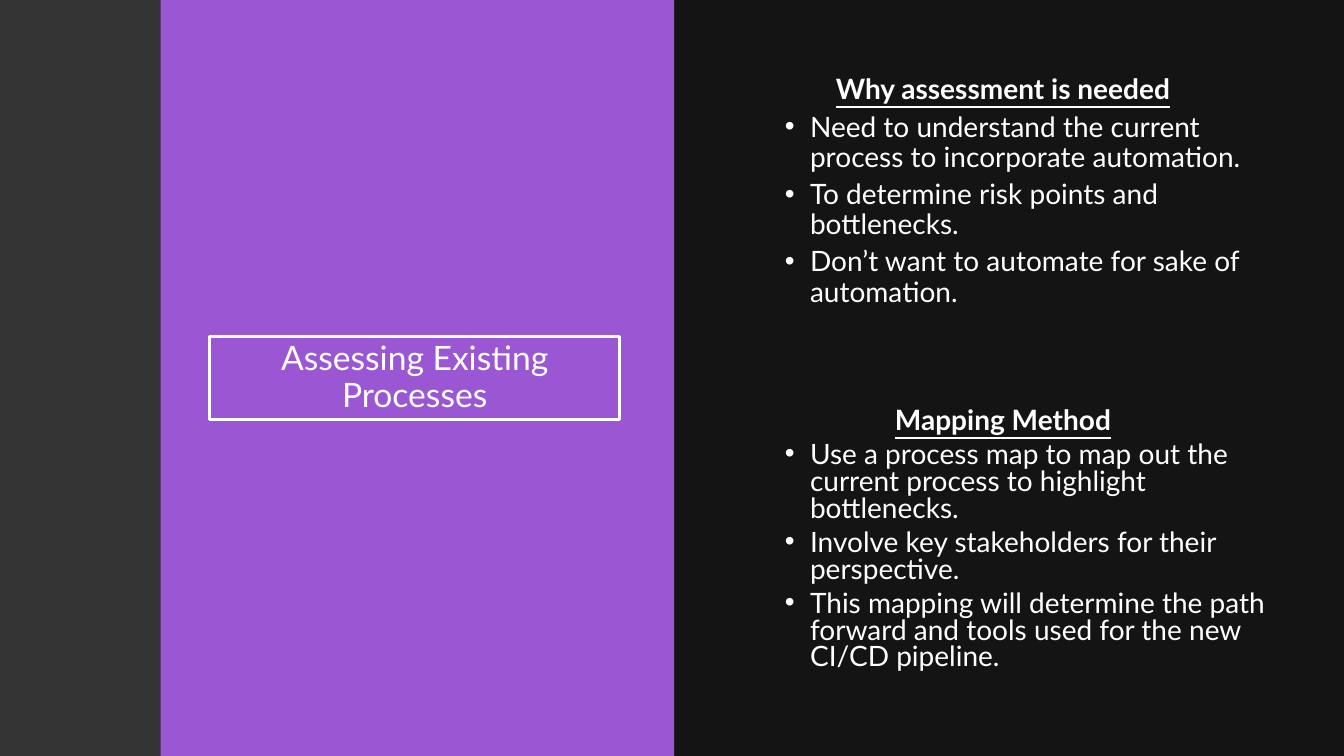
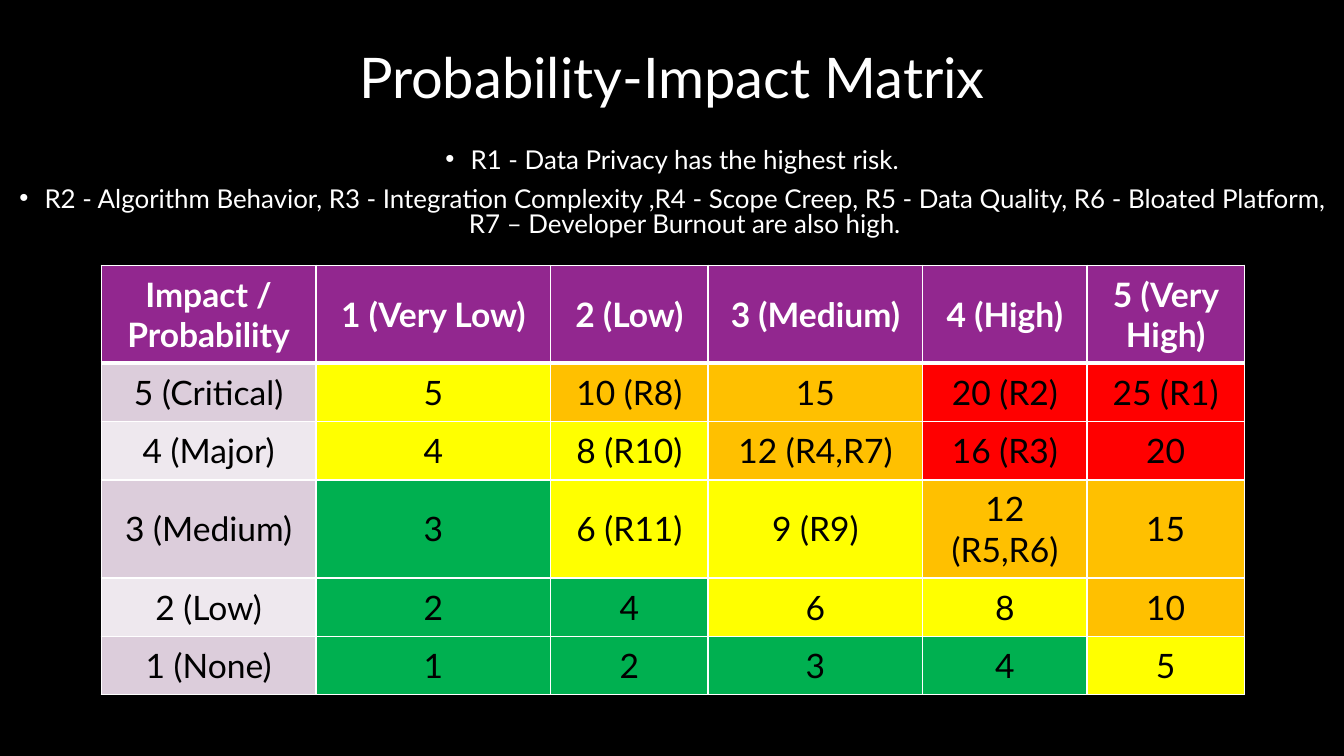
"""Build two dark slides on process assessment and a risk matrix."""
from dataclasses import dataclass

from lxml import etree
from pptx import Presentation
from pptx.dml.color import RGBColor
from pptx.enum.shapes import MSO_SHAPE
from pptx.enum.text import MSO_ANCHOR, MSO_AUTO_SIZE, PP_ALIGN
from pptx.oxml.ns import qn
from pptx.util import Pt

RECTANGLE = MSO_SHAPE.RECTANGLE
TOP, MIDDLE = MSO_ANCHOR.TOP, MSO_ANCHOR.MIDDLE
NO_AUTOFIT = MSO_AUTO_SIZE.NONE
LEFT, CENTER = PP_ALIGN.LEFT, PP_ALIGN.CENTER
TITLE_AND_CONTENT, TWO_CONTENT = 1, 3


@dataclass(frozen=True)
class Theme:
    """Colours, typeface and type sizes."""
    font: str = "Lato"
    background: str = "000000"
    text: str = "FFFFFF"
    accent: str = "9B57D3"
    side: str = "404040"
    header: str = "92278F"
    label_bands: tuple = ("DCCDDB", "EEE8EE")
    cell_text: str = "000000"
    panel_title: float = 24
    title: float = 40
    list_text: float = 20
    note: float = 18.5
    cell: float = 24


THEME = Theme()
SLIDE_W, SLIDE_H = 960, 540

BANDS = [
    (480, 480, THEME.text, 8),
    (114.5, 367, THEME.accent, 100),
    (0, 114.5, THEME.side, 80),
]

ASSESSMENT_TITLE = "Assessing Existing Processes"
ASSESSMENT_LISTS = [
    ("Why assessment is needed", 50.4, 0.9, [
        "Need to understand the current process to incorporate automation.",
        "To determine risk points and bottlenecks.",
        "Don’t want to automate for sake of automation.",
    ]),
    ("Mapping Method", 288.7, 0.8, [
        "Use a process map to map out the current process to highlight bottlenecks.",
        "Involve key stakeholders for their perspective.",
        "This mapping will determine the path forward and tools used for the new "
        "CI/CD pipeline.",
    ]),
]

MATRIX_TITLE = "Probability-Impact Matrix"
MATRIX_NOTES = [
    "R1 - Data Privacy has the highest risk.",
    "R2 - Algorithm Behavior, R3 - Integration Complexity ,R4 - Scope Creep, "
    "R5 - Data Quality, R6 - Bloated Platform, R7 – Developer Burnout are also high.",
]
MATRIX_HEADER = ["Impact / Probability", "1 (Very Low)", "2 (Low)", "3 (Medium)",
                 "4 (High)", "5 (Very High)"]
MATRIX_ROWS = [
    ("5 (Critical)", ["5", "10 (R8)", "15", "20 (R2)", "25 (R1)"], "YOORR"),
    ("4 (Major)", ["4", "8 (R10)", "12 (R4,R7)", "16 (R3)", "20"], "YYORR"),
    ("3 (Medium)", ["3", "6 (R11)", "9 (R9)", "12 (R5,R6)", "15"], "GYYOO"),
    ("2 (Low)", ["2", "4", "6", "8", "10"], "GGYYO"),
    ("1 (None)", ["1", "2", "3", "4", "5"], "GGGGY"),
]
SEVERITY = {"G": "00B050", "Y": "FFFF00", "O": "FFC000", "R": "FF0000"}
COLUMN_WIDTHS = [153.4, 167.8, 112.3, 153.4, 117.3, 112.3]
ROW_HEIGHTS = [70, 41.7, 41.7, 70, 41.7, 41.7]


def rgb(color):
    """Turn a hex string into a colour."""
    return RGBColor.from_string(color)


def place(shape, left, top, width, height):
    """Position a shape in points."""
    shape.left, shape.top = Pt(left), Pt(top)
    shape.width, shape.height = Pt(width), Pt(height)


def style_runs(paragraph, size, color=THEME.text, bold=False, underline=False):
    """Apply the theme typeface to every run."""
    for run in paragraph.runs:
        font = run.font
        font.name, font.size = THEME.font, Pt(size)
        font.bold, font.underline = bold, underline
        font.color.rgb = rgb(color)


def space(paragraph, align, line, before):
    """Set alignment, line spacing and space before."""
    paragraph.alignment = align
    paragraph.line_spacing = line
    paragraph.space_before = Pt(before)
    paragraph.space_after = Pt(0)


def set_bullet(paragraph, indent=0):
    """Give a hanging bullet, or none when the indent is zero."""
    properties = paragraph._p.get_or_add_pPr()
    properties.set("marL", str(Pt(indent)))
    properties.set("indent", str(Pt(-18 if indent else 0)))
    if indent:
        etree.SubElement(properties, qn("a:buFont")).set("typeface", "Arial")
        etree.SubElement(properties, qn("a:buChar")).set("char", "•")
    else:
        etree.SubElement(properties, qn("a:buNone"))


def prepare_frame(shape, anchor):
    """Return the shape's text frame, wrapped and of fixed size."""
    frame = shape.text_frame
    frame.word_wrap = True
    frame.auto_size = NO_AUTOFIT
    frame.vertical_anchor = anchor
    return frame


def set_title(slide, text, size, box):
    """Fill and place the title."""
    title = slide.shapes.title
    place(title, *box)
    frame = prepare_frame(title, MIDDLE)
    frame.text = text
    space(frame.paragraphs[0], CENTER, 0.9, 0)
    style_runs(frame.paragraphs[0], size)
    return title


def add_bands(slide):
    """Lay the full-height bands behind the text."""
    for depth, (left, width, color, opacity) in enumerate(BANDS):
        band = slide.shapes.add_shape(RECTANGLE, Pt(left), 0, Pt(width), Pt(SLIDE_H))
        band.shadow.inherit = False
        band.fill.solid()
        band.fill.fore_color.rgb = rgb(color)
        band.line.fill.background()
        if opacity < 100:
            tint = band._element.spPr.find(".//" + qn("a:srgbClr"))
            etree.SubElement(tint, qn("a:alpha")).set("val", str(opacity * 1000))
        slide.shapes._spTree.insert(2 + depth, band._element)


def build_assessment(prs):
    """Build the slide with the title panel and two lists."""
    slide = prs.slides.add_slide(prs.slide_layouts[TWO_CONTENT])
    add_bands(slide)
    title = set_title(slide, ASSESSMENT_TITLE, THEME.panel_title,
                      (149.6, 240.3, 293.2, 59.6))
    title.line.color.rgb = rgb(THEME.text)
    title.line.width = Pt(2)
    for index, (heading, top, line, points) in enumerate(ASSESSMENT_LISTS, start=1):
        body = slide.placeholders[index]
        place(body, 517.4, top, 398, 201)
        frame = prepare_frame(body, TOP)
        frame.text = "\n".join([heading, *points])
        header, *items = frame.paragraphs
        space(header, CENTER, line, 0)
        set_bullet(header)
        style_runs(header, THEME.list_text, bold=True, underline=True)
        for item in items:
            item.level = 1
            space(item, LEFT, line, 5)
            set_bullet(item, 54)
            style_runs(item, THEME.list_text)


def set_borders(cell, **widths):
    """Draw the four cell borders, one point unless given."""
    properties = cell._tc.get_or_add_tcPr()
    for side in "LRTB":
        border = etree.SubElement(properties, qn("a:ln" + side))
        border.set("w", str(Pt(widths.get(side, 1))))
        fill = etree.SubElement(border, qn("a:solidFill"))
        etree.SubElement(fill, qn("a:srgbClr")).set("val", THEME.text)


def fill_cell(cell, text, fill, row):
    """Write and colour one matrix cell."""
    is_header = row == 0
    set_borders(cell, **({0: {"B": 3}, 1: {"T": 3}}.get(row, {})))
    cell.fill.solid()
    cell.fill.fore_color.rgb = rgb(fill)
    cell.margin_left = cell.margin_right = Pt(9.6)
    cell.margin_top = cell.margin_bottom = Pt(4.8)
    cell.vertical_anchor = MIDDLE
    cell.text_frame.text = text
    paragraph = cell.text_frame.paragraphs[0]
    paragraph.alignment = CENTER
    style_runs(paragraph, THEME.cell, THEME.text if is_header else THEME.cell_text,
               bold=is_header)


def add_matrix(slide):
    """Add the probability-impact table."""
    grid = [[(text, THEME.header) for text in MATRIX_HEADER]]
    for index, (label, scores, levels) in enumerate(MATRIX_ROWS):
        colors = [SEVERITY[level] for level in levels]
        grid.append([(label, THEME.label_bands[index % 2]), *zip(scores, colors)])
    matrix = slide.shapes.add_table(
        len(grid), len(MATRIX_HEADER), Pt(72.3), Pt(189.5),
        Pt(sum(COLUMN_WIDTHS)), Pt(sum(ROW_HEIGHTS))).table
    for column, width in zip(matrix.columns, COLUMN_WIDTHS):
        column.width = Pt(width)
    for row, height in zip(matrix.rows, ROW_HEIGHTS):
        row.height = Pt(height)
    for r, entries in enumerate(grid):
        for c, (text, fill) in enumerate(entries):
            fill_cell(matrix.cell(r, c), text, fill, r)


def build_matrix(prs):
    """Build the slide with the risk notes and matrix."""
    slide = prs.slides.add_slide(prs.slide_layouts[TITLE_AND_CONTENT])
    set_title(slide, MATRIX_TITLE, THEME.title, (79.2, 13.7, 801.6, 87.8))
    notes = slide.placeholders[1]
    place(notes, 0, 101.5, SLIDE_W, 74.2)
    frame = prepare_frame(notes, MIDDLE)
    frame.text = "\n".join(MATRIX_NOTES)
    for index, note in enumerate(frame.paragraphs):
        space(note, CENTER, 0.8, 10 if index else 0)
        set_bullet(note, 18)
        style_runs(note, THEME.note)
    add_matrix(slide)


def main():
    """Build and save the deck."""
    prs = Presentation()
    prs.slide_width, prs.slide_height = Pt(SLIDE_W), Pt(SLIDE_H)
    backdrop = prs.slide_master.background.fill
    backdrop.solid()
    backdrop.fore_color.rgb = rgb(THEME.background)
    build_assessment(prs)
    build_matrix(prs)
    prs.save("out.pptx")


if __name__ == "__main__":
    main()
